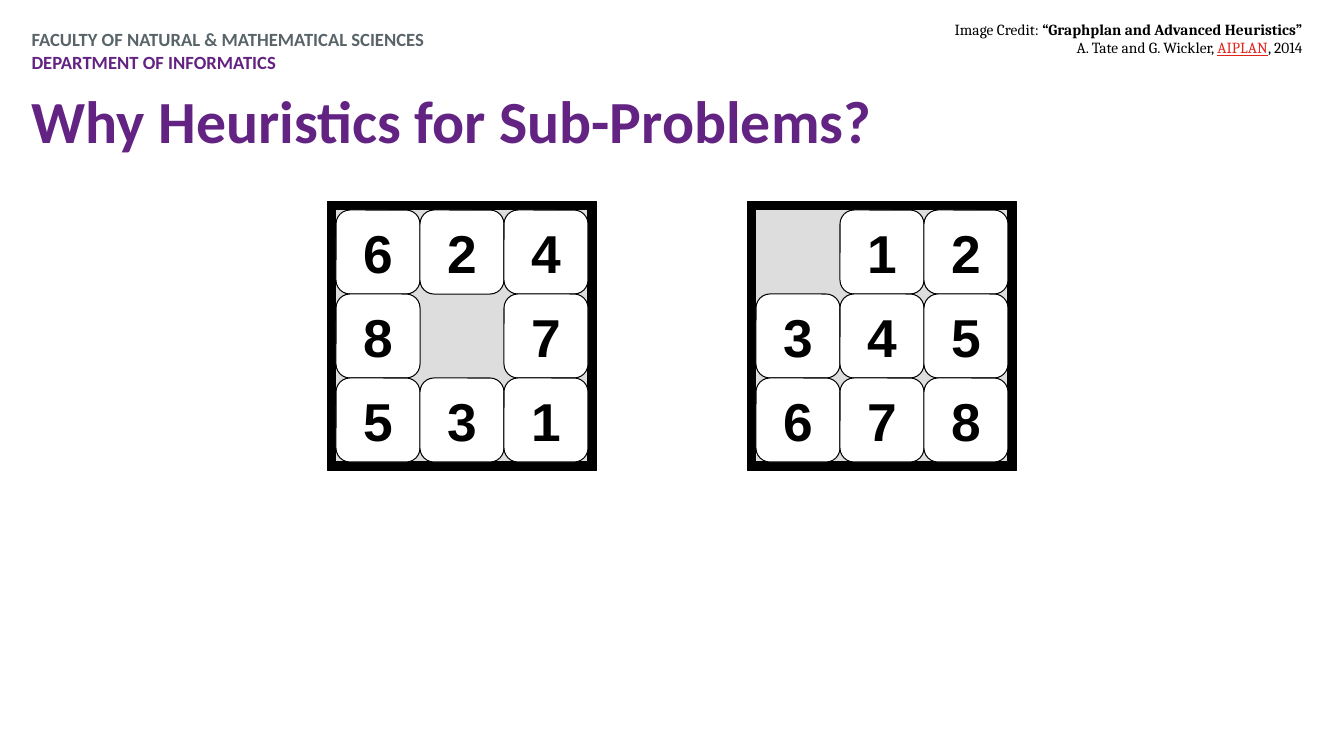
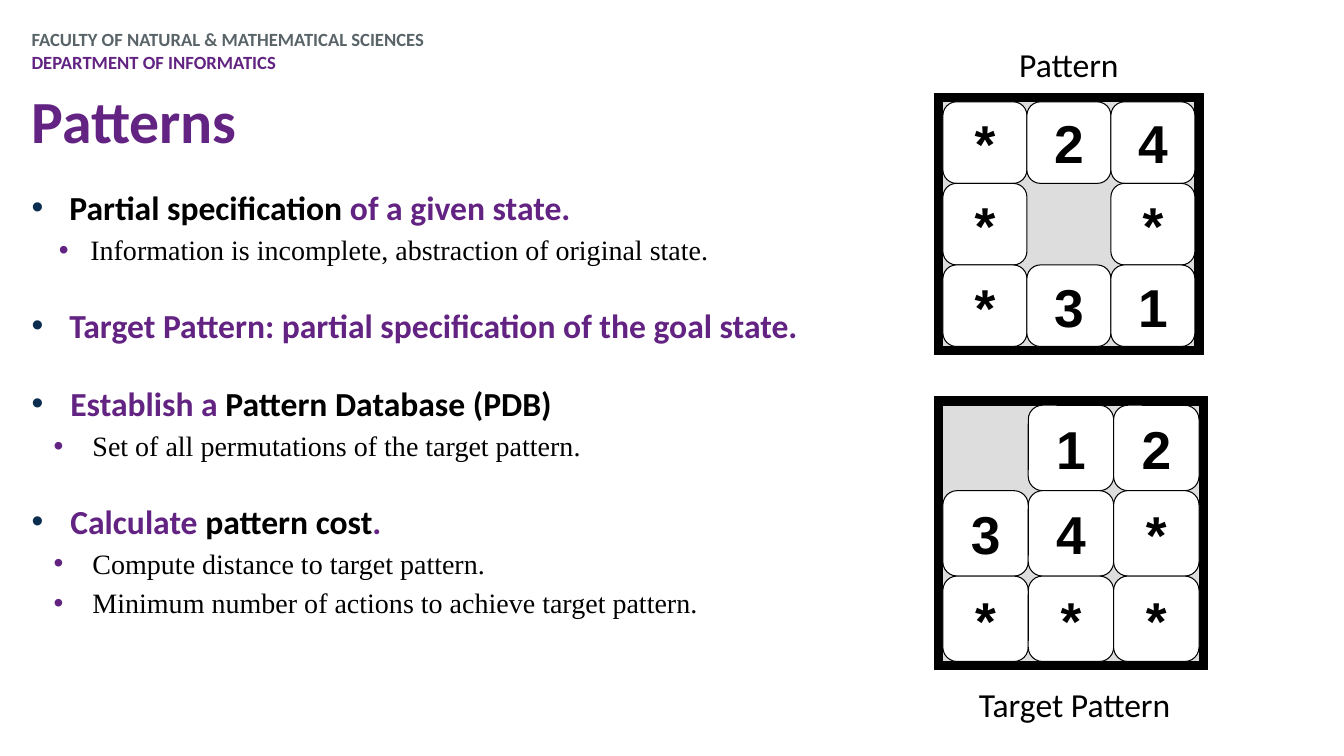
from lxml.etree import SubElement
from pptx import Presentation
from pptx.dml.color import RGBColor
from pptx.enum.shapes import MSO_SHAPE
from pptx.enum.text import MSO_ANCHOR, MSO_AUTO_SIZE, PP_ALIGN
from pptx.oxml.ns import qn
from pptx.util import Pt

PURPLE, GREY, NAVY, RED = "632382", "596469", "0A2D50", "E2231A"
BLACK, WHITE, TRAY = "000000", "FFFFFF", "DDDDDD"
TITLE_ONLY, TITLE_AND_BODY = 5, 1
FRAME = 8

TITLE = {"name": "Calibri", "size": Pt(42.7), "bold": True, "color": PURPLE}
HEADER = {"name": "Calibri", "size": Pt(13.3), "bold": True, "color": GREY}
POINT = {"name": "Calibri", "size": Pt(24), "bold": True, "color": PURPLE}
KEY = {**POINT, "color": BLACK}
DETAIL = {"name": "Times New Roman", "size": Pt(20), "bold": False, "color": BLACK}
CAPTION = {**KEY, "bold": False}
TILE = {"name": "Arial", "size": Pt(38.1), "bold": True, "color": BLACK}
CREDIT = {"name": "Cambria", "size": Pt(11), "color": BLACK}
NO_MARGINS = {f"margin_{side}": 0 for side in ("left", "top", "right", "bottom")}

PATTERN_POINTS = [
    (0, 36, -36, [("Partial specification ", KEY), ("of a given state.", POINT)]),
    (1, 56, -30, [("Information is incomplete, abstraction of original state.", DETAIL)]),
    (0, 36, -36, [("Target Pattern: partial specification of the goal state.", POINT)]),
    (0, 37, -37, [("Establish a ", POINT), ("Pattern Database (PDB)", KEY)]),
    (1, 58, -37, [("Set of all permutations of the target pattern.", DETAIL)]),
    (0, 37, -37, [("Calculate ", POINT), ("pattern cost", KEY), (".", POINT)]),
    (1, 58, -37, [("Compute distance to target pattern.", DETAIL)]),
    (1, 58, -37, [("Minimum number of actions to achieve target pattern.", DETAIL)]),
]


def px(length):
    """Turn px into EMU."""
    return round(length * 9525)


def rgb(value):
    """Turn a hex string into a colour."""
    return RGBColor.from_string(value)


def assign(target, values):
    """Set each named attribute on the target."""
    for name, value in values.items():
        setattr(target, name, value)


def place(shape, left, top, width, height):
    """Move and size a shape in px."""
    assign(shape, {"left": px(left), "top": px(top),
                   "width": px(width), "height": px(height)})


def write(paragraph, runs, align=PP_ALIGN.LEFT):
    """Fill a paragraph with (text, style) runs."""
    paragraph.alignment = align
    for text, style in runs:
        run = paragraph.add_run()
        run.text = text
        assign(run.font, {k: v for k, v in style.items() if k != "color"})
        run.font.color.rgb = rgb(style["color"])


def add_text(slide, box, lines, align=PP_ALIGN.LEFT, **frame_format):
    """Add a text box holding one paragraph per line of runs."""
    frame = slide.shapes.add_textbox(*map(px, box)).text_frame
    assign(frame, {"word_wrap": True, **frame_format})
    for index, runs in enumerate(lines):
        paragraph = frame.add_paragraph() if index else frame.paragraphs[0]
        write(paragraph, runs, align)


def add_slide(prs, layout, title):
    """Add a slide with the department header and its title."""
    slide = prs.slides.add_slide(prs.slide_layouts[layout])
    add_text(slide, (30, 27, 857, 43), [
        [("FACULTY OF NATURAL & MATHEMATICAL SCIENCES", HEADER)],
        [("DEPARTMENT OF INFORMATICS", {**HEADER, "color": PURPLE})],
    ], **NO_MARGINS)
    heading = slide.shapes.title
    place(heading, 30, 76, 1104, 76)
    assign(heading.text_frame, {**NO_MARGINS, "auto_size": MSO_AUTO_SIZE.NONE,
                                "vertical_anchor": MSO_ANCHOR.MIDDLE})
    write(heading.text_frame.paragraphs[0], [(title, TITLE)])
    return slide


def set_bullet(paragraph, color, left, hanging):
    """Give a paragraph a coloured bullet and a hanging indent."""
    props = paragraph._p.get_or_add_pPr()
    props.set("marL", str(px(left)))
    props.set("indent", str(px(hanging)))
    SubElement(SubElement(props, qn("a:buClr")), qn("a:srgbClr"), val=color)
    SubElement(props, qn("a:buFont"), typeface="Arial")
    SubElement(props, qn("a:buChar"), char="•")


def fill_body(body, points):
    """Write the bulleted points into the body placeholder."""
    place(body, 30, 179, 766, 476)
    frame = body.text_frame
    assign(frame, {**NO_MARGINS, "auto_size": MSO_AUTO_SIZE.NONE,
                   "vertical_anchor": MSO_ANCHOR.TOP})
    for index, (level, left, hanging, runs) in enumerate(points):
        paragraph = frame.add_paragraph() if index else frame.paragraphs[0]
        gap = 28 if index and level == 0 else 0
        assign(paragraph, {"level": level, "line_spacing": Pt(28),
                           "space_before": Pt(gap), "space_after": Pt(0)})
        set_bullet(paragraph, PURPLE if level else NAVY, left, hanging)
        write(paragraph, runs)


def add_block(group, kind, box, fill):
    """Add a filled shape with a thin black outline."""
    block = group.shapes.add_shape(kind, *map(px, box))
    block.shadow.inherit = False
    block.fill.solid()
    block.fill.fore_color.rgb = rgb(fill)
    block.line.color.rgb = rgb(BLACK)
    block.line.width = Pt(0.75)
    return block


def add_board(slide, left, top, width, height, rows):
    """Add a sliding-tile board; a space in a row is the empty cell."""
    board = slide.shapes.add_group_shape()
    add_block(board, MSO_SHAPE.RECTANGLE, (left, top, width, height), BLACK)
    left, top = left + FRAME, top + FRAME
    width, height = width - 2 * FRAME, height - 2 * FRAME
    add_block(board, MSO_SHAPE.RECTANGLE, (left, top, width, height), TRAY)
    tile_width, tile_height = width / 3, height / 3
    for row, symbols in enumerate(rows):
        for column, symbol in enumerate(symbols):
            if symbol == " ":
                continue
            box = (left + column * tile_width, top + row * tile_height,
                   tile_width, tile_height)
            tile = add_block(board, MSO_SHAPE.ROUNDED_RECTANGLE, box, WHITE)
            assign(tile.text_frame, {"word_wrap": False,
                                     "vertical_anchor": MSO_ANCHOR.MIDDLE})
            write(tile.text_frame.paragraphs[0], [(symbol, TILE)], PP_ALIGN.CENTER)


def build_heuristics(prs):
    """Build the slide with the start and goal boards."""
    slide = add_slide(prs, TITLE_ONLY, "Why Heuristics for Sub-Problems?")
    add_board(slide, 312, 192, 256, 256, ["624", "8 7", "531"])
    add_board(slide, 712, 192, 256, 256, [" 12", "345", "678"])
    add_text(slide, (846, 14, 404, 45), [
        [("Image Credit: ", CREDIT),
         ("“Graphplan and Advanced Heuristics”", {**CREDIT, "bold": True})],
        [("A. Tate and G. Wickler, ", CREDIT),
         ("AIPLAN", {**CREDIT, "color": RED, "underline": True}),
         (", 2014", CREDIT)],
    ], PP_ALIGN.RIGHT)


def build_patterns(prs):
    """Build the slide that explains patterns."""
    slide = add_slide(prs, TITLE_AND_BODY, "Patterns")
    fill_body(slide.placeholders[1], PATTERN_POINTS)
    add_board(slide, 890, 89, 256, 249, ["*24", "* *", "*31"])
    add_board(slide, 890, 378, 260, 260, [" 12", "34*", "***"])
    add_text(slide, (906, 647, 235, 48), [[("Target Pattern", CAPTION)]], PP_ALIGN.CENTER)
    add_text(slide, (890, 37, 256, 48), [[("Pattern", CAPTION)]], PP_ALIGN.CENTER)


def main():
    """Build and save the presentation."""
    prs = Presentation()
    assign(prs, {"slide_width": px(1280), "slide_height": px(720)})
    build_heuristics(prs)
    build_patterns(prs)
    prs.save("out.pptx")


if __name__ == "__main__":
    main()
